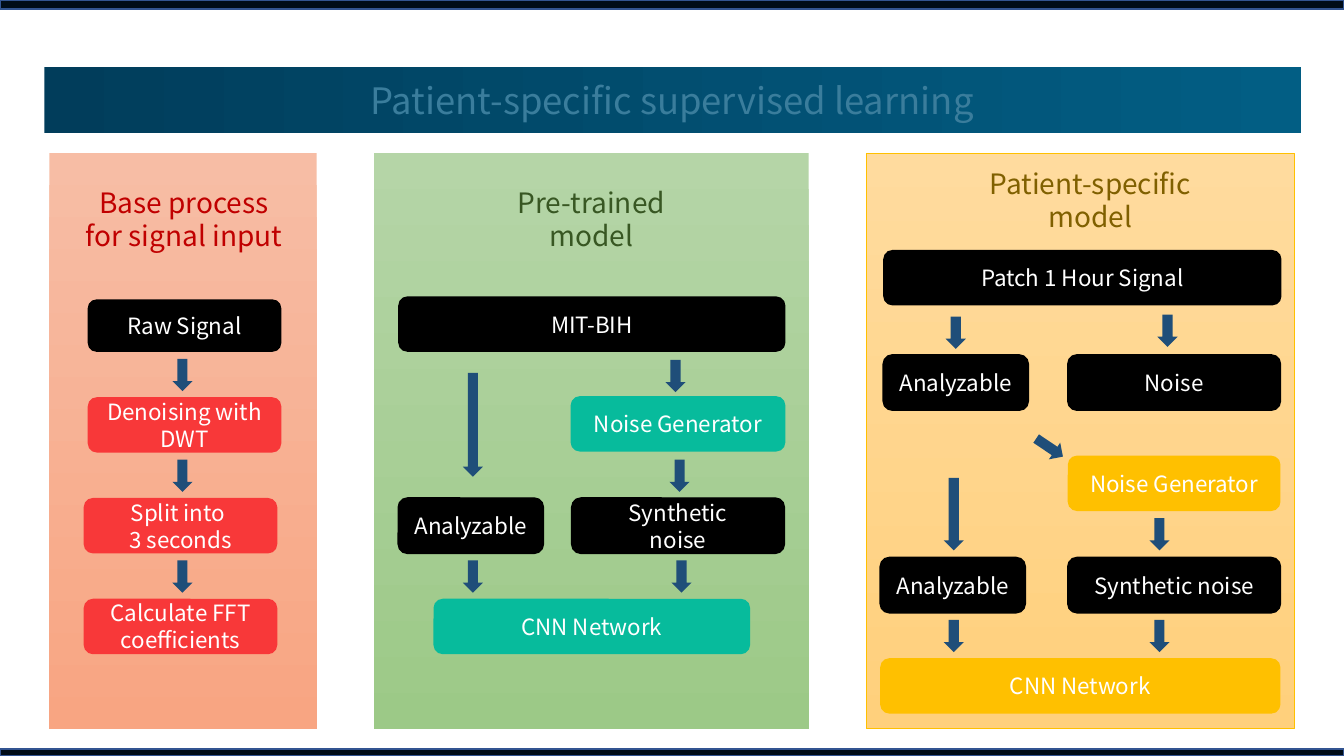
from pptx import Presentation
from pptx.dml.color import RGBColor
from pptx.enum.shapes import MSO_SHAPE
from pptx.enum.text import MSO_ANCHOR, PP_ALIGN
from pptx.util import Inches, Pt

RECTANGLE = MSO_SHAPE.RECTANGLE
ROUNDED = MSO_SHAPE.ROUNDED_RECTANGLE
DOWN_ARROW = MSO_SHAPE.DOWN_ARROW
MIDDLE = MSO_ANCHOR.MIDDLE
CENTER = PP_ALIGN.CENTER
TITLE_ONLY = 5
FONT = "Noto Sans CJK KR"
SLIDE_WIDTH, SLIDE_HEIGHT = 13.33, 7.5
PANEL_TOP, PANEL_HEIGHT = 1.52, 5.71
STEP_HEIGHT = 0.55
ARROW_WIDTH, ARROW_HEIGHT = 0.2, 0.32

COLORS = {
    "edge": "000C18", "edge_line": "325491",
    "band_start": "013D5B", "band_end": "025E84", "title": "3A7D9C",
    "base_start": "F7BDA5", "base_end": "F8A582", "base_heading": "C00000",
    "trained_start": "B5D5A7", "trained_end": "9CC987", "trained_heading": "385723",
    "patient_start": "FFDB9E", "patient_end": "FFD07C", "patient_heading": "806000",
    "black": "000000", "white": "FFFFFF", "red": "F83839",
    "teal": "07BB9C", "amber": "FFC000", "arrow": "1F4E79",
}


def color(name):
    return RGBColor.from_string(COLORS[name])


def fill_gradient(shape, start, end, angle):
    shape.fill.gradient()
    shape.fill.gradient_angle = angle
    for stop, name, position in zip(shape.fill.gradient_stops, (start, end), (0, 1)):
        stop.color.rgb = color(name)
        stop.position = position


def write_text(shape, text, size, color_name):
    frame = shape.text_frame
    frame.word_wrap = True
    frame.text = text
    for paragraph in frame.paragraphs:
        paragraph.alignment = CENTER
        paragraph.font.name = FONT
        paragraph.font.size = Pt(size)
        paragraph.font.color.rgb = color(color_name)


def add_block(slide, kind, left, top, width, height, fill=None, line=None, line_width=1):
    shape = slide.shapes.add_shape(
        kind, Inches(left), Inches(top), Inches(width), Inches(height))
    shape.shadow.inherit = False
    if fill:
        shape.fill.solid()
        shape.fill.fore_color.rgb = color(fill)
    if line:
        shape.line.color.rgb = color(line)
        shape.line.width = Pt(line_width)
    else:
        shape.line.fill.background()
    return shape


def add_title(slide, left, top, width, height):
    title = slide.shapes.title
    title.left, title.top = Inches(left), Inches(top)
    title.width, title.height = Inches(width), Inches(height)
    fill_gradient(title, "band_start", "band_end", 0)
    write_text(title, "Patient-specific supervised learning", 26, "title")
    title.text_frame.vertical_anchor = MIDDLE


def add_edges(slide):
    for top, height in ((0, 0.09), (7.43, 0.07)):
        add_block(slide, RECTANGLE, 0, top, SLIDE_WIDTH, height, "edge", "edge_line")


def add_panel(slide, left, width, theme, line=None):
    panel = add_block(slide, RECTANGLE, left, PANEL_TOP, width, PANEL_HEIGHT,
                      line=line, line_width=0.5)
    fill_gradient(panel, f"{theme}_start", f"{theme}_end", 270)


def add_heading(slide, left, top, width, text, theme):
    heading = slide.shapes.add_textbox(
        Inches(left), Inches(PANEL_TOP + top), Inches(width), Inches(0.77))
    write_text(heading, text, 20, f"{theme}_heading")


def add_steps(slide, left, steps):
    for text, fill, line, x, y, width, height in steps:
        step = add_block(slide, ROUNDED, left + x, PANEL_TOP + y,
                         width, height, fill, line)
        write_text(step, text, 16, "white")
        step.text_frame.vertical_anchor = MIDDLE


def add_arrows(slide, left, arrows):
    for x, y, height, rotation in arrows:
        arrow = add_block(slide, DOWN_ARROW, left + x, PANEL_TOP + y,
                          ARROW_WIDTH, height, "arrow")
        arrow.rotation = rotation


def add_base_process(slide, left, width):
    add_panel(slide, left, width, "base")
    add_steps(slide, left, [
        ("Raw Signal", "black", None, 0.38, 1.45, 1.92, 0.52),
        ("Denoising with DWT", "red", None, 0.38, 2.42, 1.92, STEP_HEIGHT),
        ("Split into \n3 seconds", "red", None, 0.34, 3.42, 1.92, STEP_HEIGHT),
        ("Calculate FFT coefficients", "red", None, 0.34, 4.42, 1.92, STEP_HEIGHT),
    ])
    add_arrows(slide, left, [(1.22, 2.04 + row, ARROW_HEIGHT, 0) for row in range(3)])
    add_heading(slide, left + 0.01, 0.27, width, "Base process\nfor signal input", "base")


def add_pretrained_model(slide, left, width):
    add_panel(slide, left, width, "trained")
    add_steps(slide, left, [
        ("MIT-BIH", "black", None, 0.24, 1.42, 3.84, STEP_HEIGHT),
        ("Noise Generator", "teal", None, 1.95, 2.41, 2.13, STEP_HEIGHT),
        ("Analyzable", "black", "black", 0.24, 3.42, 1.44, STEP_HEIGHT),
        ("Synthetic\nnoise", "black", "black", 1.96, 3.42, 2.11, STEP_HEIGHT),
        ("CNN Network", "teal", None, 0.59, 4.42, 3.14, STEP_HEIGHT),
    ])
    add_arrows(slide, left, [
        (0.88, 2.18, 1.03, 0),
        (0.88, 4.04, ARROW_HEIGHT, 0),
        (2.89, 2.05, ARROW_HEIGHT, 0),
        (2.93, 3.04, ARROW_HEIGHT, 0),
        (2.95, 4.04, ARROW_HEIGHT, 0),
    ])
    add_heading(slide, left, 0.27, width, "Pre-trained\nmodel", "trained")


def add_patient_model(slide, left, width):
    add_panel(slide, left, width, "patient", "amber")
    add_steps(slide, left, [
        ("Patch 1 Hour Signal", "black", None, 0.17, 0.96, 3.95, STEP_HEIGHT),
        ("Analyzable", "black", "black", 0.17, 2, 1.44, STEP_HEIGHT),
        ("Noise", "black", "black", 2, 2, 2.11, STEP_HEIGHT),
        ("Noise Generator", "amber", None, 2, 3, 2.11, STEP_HEIGHT),
        ("Analyzable", "black", "black", 0.14, 4.01, 1.44, STEP_HEIGHT),
        ("Synthetic noise", "black", "black", 2, 4.01, 2.11, STEP_HEIGHT),
        ("CNN Network", "amber", None, 0.14, 5.01, 3.97, STEP_HEIGHT),
    ])
    add_arrows(slide, left, [
        (0.79, 1.62, ARROW_HEIGHT, 0),
        (2.89, 1.6, ARROW_HEIGHT, 0),
        (1.72, 2.76, ARROW_HEIGHT, 304),
        (0.77, 3.22, 0.72, 0),
        (2.81, 3.62, ARROW_HEIGHT, 0),
        (0.77, 4.63, ARROW_HEIGHT, 0),
        (2.81, 4.63, ARROW_HEIGHT, 0),
    ])
    add_heading(slide, left + 0.1, 0.08, width, "Patient-specific\nmodel", "patient")


def main():
    presentation = Presentation()
    presentation.slide_width = Inches(SLIDE_WIDTH)
    presentation.slide_height = Inches(SLIDE_HEIGHT)
    slide = presentation.slides.add_slide(presentation.slide_layouts[TITLE_ONLY])
    add_edges(slide)
    add_title(slide, 0.44, 0.66, 12.46, 0.66)
    add_base_process(slide, 0.49, 2.65)
    add_pretrained_model(slide, 3.71, 4.31)
    add_patient_model(slide, 8.59, 4.25)
    presentation.save("out.pptx")


if __name__ == "__main__":
    main()
